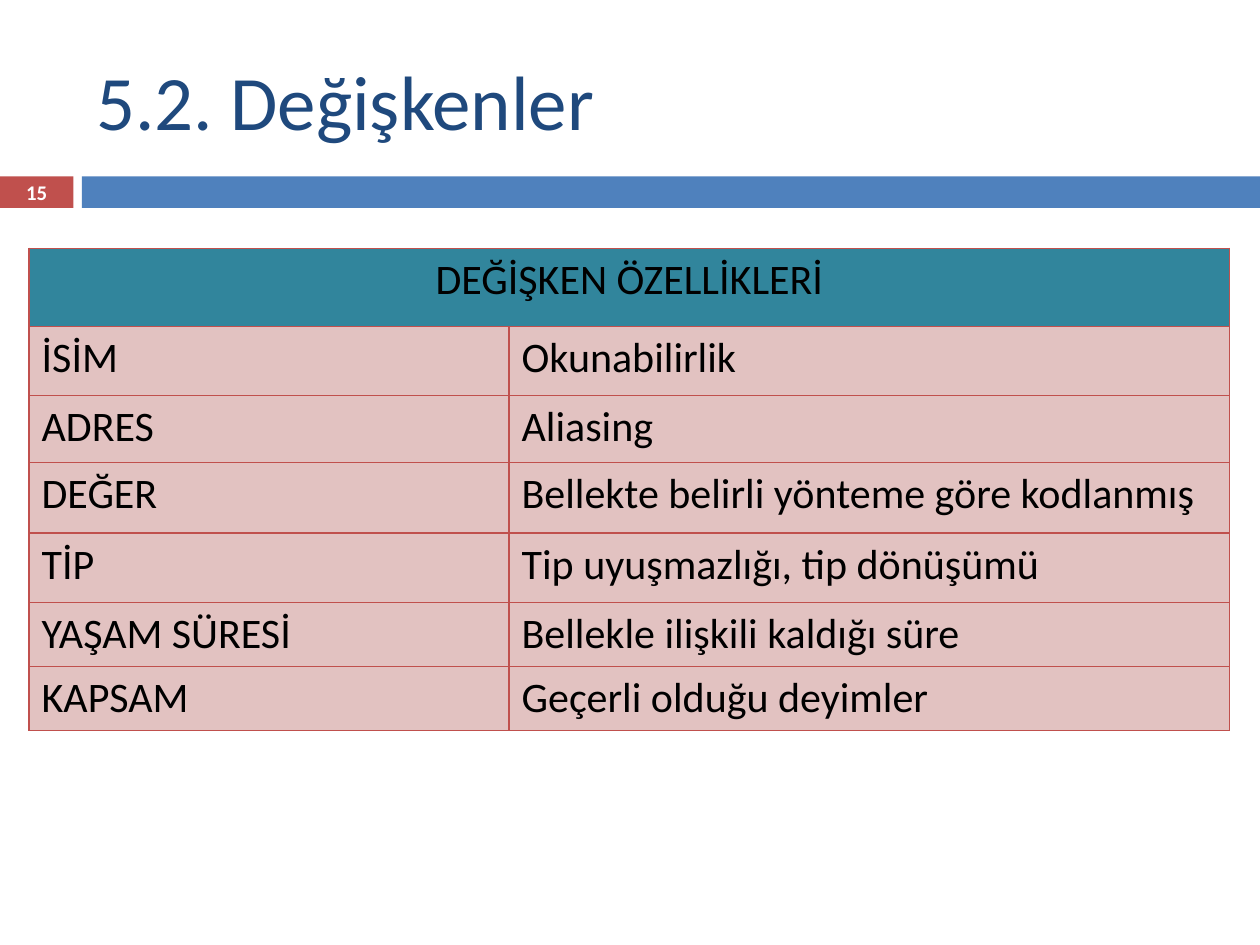
from lxml.etree import SubElement
from pptx import Presentation
from pptx.dml.color import RGBColor
from pptx.enum.shapes import MSO_SHAPE as SHAPE
from pptx.enum.text import MSO_ANCHOR as ANCHOR, PP_ALIGN as ALIGN
from pptx.oxml.ns import qn
from pptx.util import Pt

C = {"red": "C0504D", "blue": "4F81BD", "navy": "1F497D", "teal": "31859C",
     "pink": "E2C2C1", "white": "FFFFFF", "black": "000000"}


def write(tf, text, size, color, align=ALIGN.LEFT, bold=False):
    p = tf.paragraphs[0]
    p.text = text
    p.alignment = align
    p.font.name, p.font.size, p.font.bold = "Calibri", Pt(size), bold
    p.font.color.rgb = RGBColor.from_string(C[color])


def style_cell(cell, fill):
    cell.fill.solid()
    cell.fill.fore_color.rgb = RGBColor.from_string(C[fill])
    pr = cell._tc.get_or_add_tcPr()
    for i, side in enumerate(("a:lnL", "a:lnR", "a:lnT", "a:lnB")):
        ln = pr.makeelement(qn(side), {"w": str(Pt(0.79))})
        SubElement(SubElement(ln, qn("a:solidFill")), qn("a:srgbClr"), val=C["red"])
        pr.insert(i, ln)  # borders come before the fill


prs = Presentation()
prs.slide_width, prs.slide_height = Pt(720), Pt(540)
s = prs.slides.add_slide(prs.slide_layouts[6])

# Band below the title
for left, width, color in ((0, 42, "red"), (46.8, 673.2, "blue")):
    sp = s.shapes.add_shape(SHAPE.RECTANGLE, Pt(left), Pt(100.8), Pt(width), Pt(18))
    sp.shadow.inherit = False
    sp.fill.solid()
    sp.fill.fore_color.rgb = RGBColor.from_string(C[color])
    sp.line.fill.background()

# Title and slide number
for box, text, size, color, align, bold in (
    ((48, 18, 642, 78), "5.2. Değişkenler", 44, "navy", ALIGN.LEFT, False),
    ((0, 100, 42, 19.5), "15", 11.9, "white", ALIGN.CENTER, True),
):
    tf = s.shapes.add_textbox(*map(Pt, box)).text_frame
    tf.word_wrap = True
    tf.vertical_anchor = ANCHOR.MIDDLE
    write(tf, text, size, color, align, bold)

# Table of variable properties
rows = [
    ("DEĞİŞKEN ÖZELLİKLERİ", ""),
    ("İSİM", "Okunabilirlik"),
    ("ADRES", "Aliasing"),
    ("DEĞER", "Bellekte belirli yönteme göre kodlanmış"),
    ("TİP", "Tip uyuşmazlığı, tip dönüşümü"),
    ("YAŞAM SÜRESİ", "Bellekle ilişkili kaldığı süre"),
    ("KAPSAM", "Geçerli olduğu deyimler"),
]
heights = [44.6, 39.6, 38.2, 40.4, 39.6, 36.6, 36.6]
widths = [274.3, 411.8]
table = s.shapes.add_table(len(rows), len(widths), Pt(16.6), Pt(141.8),
                           Pt(sum(widths)), Pt(sum(heights))).table
for column, width in zip(table.columns, widths):
    column.width = Pt(width)
for i, (texts, height) in enumerate(zip(rows, heights)):
    table.rows[i].height = Pt(height)
    for cell, text in zip(table.rows[i].cells, texts):
        style_cell(cell, "pink" if i else "teal")
        if text:
            write(cell.text_frame, text, 24, "black", ALIGN.LEFT if i else ALIGN.CENTER)
table.cell(0, 0).merge(table.cell(0, 1))

prs.save("out.pptx")
